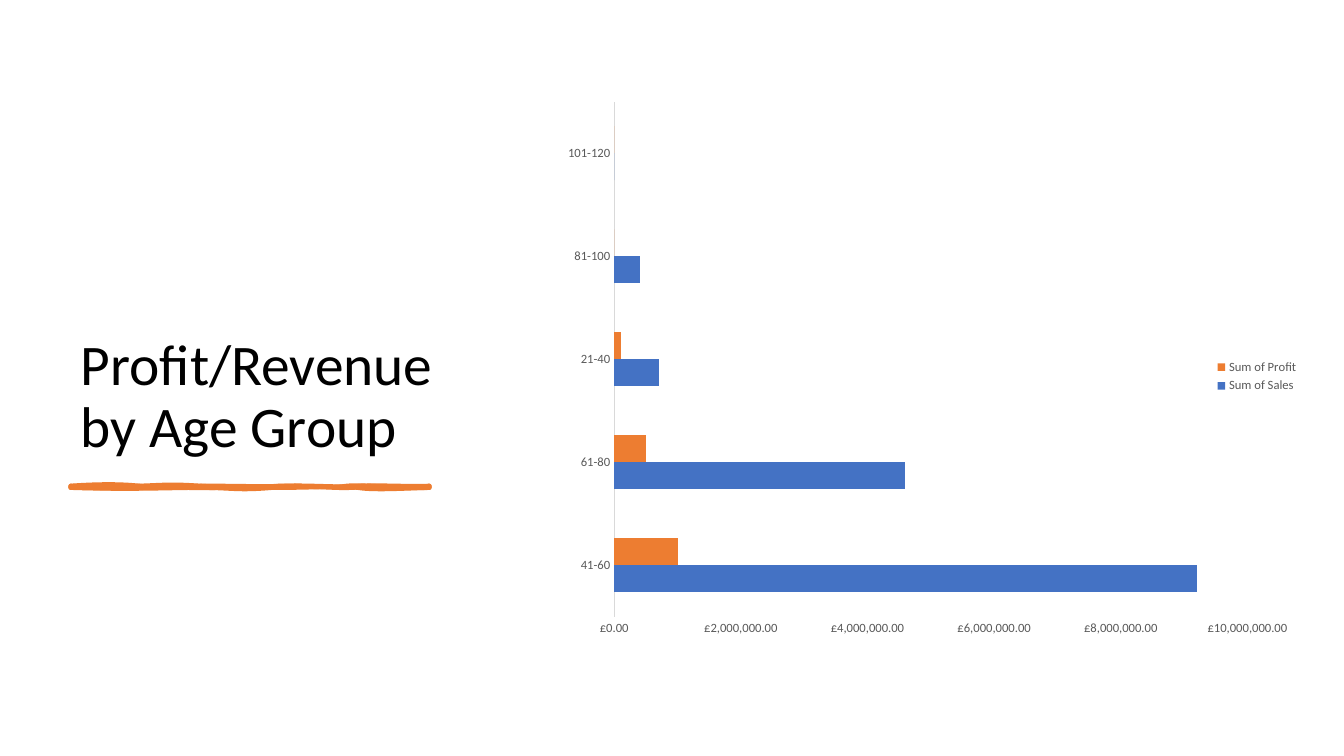
import pptx
import pptx.chart.data
import pptx.dml.color
import pptx.enum.chart
import pptx.enum.text
import pptx.oxml
import pptx.oxml.ns
import pptx.util

Inches = pptx.util.Inches
Pt = pptx.util.Pt
qn = pptx.oxml.ns.qn
FONT = "Calibri"
BLUE, ORANGE, GREY = "4472C4", "ED7D31", "595959"
AGES = ["41-60", "61-80", "21-40", "81-100", "101-120"]
SERIES = [
    ("Sum of Sales", [9200000, 4600000, 700000, 400000, 0], BLUE),
    ("Sum of Profit", [1000000, 500000, 100000, 0, 0], ORANGE),
]
UPPER = [
    (27, -2), (51, -2), (68, 0), (85, 2), (107, 0), (139, 0),
    (171, 0), (190, 1), (214, 0), (238, -1), (269, 2), (289, 0),
    (309, -1), (342, 1), (356, 0), (356, 1), (356, 2), (356, 2),
    (338, 3), (294, 1), (278, 2), (262, 3), (234, -1), (200, 2),
    (165, 5), (161, 2), (129, 2), (96, 2), (62, 4), (0, 2),
    (0, 2), (0, 1), (0, 0),
]
LOWER = [
    (32, 2), (40, 1), (68, 0), (96, -1), (99, -2), (129, 0),
    (158, 2), (191, 1), (207, 0), (223, -1), (257, 3), (274, 0),
    (292, -2), (327, 4), (356, 0), (356, 1), (356, 1), (356, 2),
    (342, 2), (302, 5), (285, 2), (268, 0), (239, 2), (207, 2),
    (174, 2), (170, 1), (146, 2), (123, 3), (109, 1), (75, 2),
    (41, 3), (22, 2), (0, 2), (0, 1), (0, 1), (0, 0),
]


def color(code):
    return pptx.dml.color.RGBColor.from_string(code)


def style(font, size, code):
    font.name = FONT
    font.size = Pt(size)
    font.color.rgb = color(code)


def place(shape, box):
    shape.left, shape.top, shape.width, shape.height = map(Inches, box)


def add_title(slide, box):
    title = slide.shapes.title
    place(title, box)
    frame = title.text_frame
    frame.word_wrap = True
    frame.auto_size = pptx.enum.text.MSO_AUTO_SIZE.NONE
    frame.vertical_anchor = pptx.enum.text.MSO_ANCHOR.BOTTOM
    para = frame.paragraphs[0]
    para.alignment = pptx.enum.text.PP_ALIGN.LEFT
    para.line_spacing = 0.9
    run = para.add_run()
    run.text = "Profit/Revenue by Age Group"
    style(run.font, 41, "000000")


def bend(shape):
    lines = list(shape._element.iter(qn("a:lnTo")))
    for trio in zip(lines[::3], lines[1::3], lines[2::3]):
        curve = pptx.oxml.parse_xml(
            f'<a:cubicBezTo {pptx.oxml.ns.nsdecls("a")}/>')
        trio[0].addprevious(curve)
        for line in trio:
            curve.append(line[0])
            line.getparent().remove(line)


def add_swash(slide, left, top):
    pen = slide.shapes.build_freeform(0, 0, scale=Inches(0.01))
    pen.add_line_segments(UPPER, close=True)
    pen.move_to(0, 0)
    pen.add_line_segments(LOWER, close=True)
    swash = pen.convert_to_shape(Inches(left), Inches(top))
    bend(swash)
    swash.shadow.inherit = False
    swash.fill.solid()
    swash.fill.fore_color.rgb = color(ORANGE)
    swash.line.color.rgb = color(ORANGE)
    swash.line.width = Pt(3)


def set_plot(chart, x, y, w, h):
    area = chart.plots[0]._element.getparent()
    for old in area.findall(qn("c:layout")):
        area.remove(old)
    area.insert(0, pptx.oxml.parse_xml(
        f'<c:layout {pptx.oxml.ns.nsdecls("c")}><c:manualLayout>'
        '<c:layoutTarget val="inner"/><c:xMode val="edge"/><c:yMode val="edge"/>'
        f'<c:x val="{x}"/><c:y val="{y}"/><c:w val="{w}"/><c:h val="{h}"/>'
        '</c:manualLayout></c:layout>'))


def add_bars(slide, box):
    enum = pptx.enum.chart
    data = pptx.chart.data.CategoryChartData(number_format='"£"#,##0.00')
    data.categories = AGES
    for name, values, code in SERIES:
        data.add_series(name, values)
    chart = slide.shapes.add_chart(
        enum.XL_CHART_TYPE.BAR_CLUSTERED, *map(Inches, box), data).chart
    style(chart.font, 10, "000000")
    chart.has_title = False
    chart.has_legend = True
    chart.legend.position = enum.XL_LEGEND_POSITION.RIGHT
    chart.legend.include_in_layout = False
    style(chart.legend.font, 9, GREY)
    plot = chart.plots[0]
    plot.gap_width = 182
    plot.overlap = 0
    plot.vary_by_categories = False
    for bars, (name, values, code) in zip(plot.series, SERIES):
        bars.invert_if_negative = False
        bars.format.fill.solid()
        bars.format.fill.fore_color.rgb = color(code)
    for axis in (chart.category_axis, chart.value_axis):
        axis.has_major_gridlines = False
        axis.major_tick_mark = enum.XL_TICK_MARK.NONE
        axis.minor_tick_mark = enum.XL_TICK_MARK.NONE
        style(axis.tick_labels.font, 9, GREY)
    edge = chart.category_axis.format.line
    edge.color.rgb = color("D9D9D9")
    edge.width = Pt(0.75)
    scale = chart.value_axis
    scale.format.line.fill.background()
    scale.minimum_scale, scale.maximum_scale = 0, 10000000
    scale.major_unit = 2000000
    scale.tick_labels.number_format = '"£"#,##0.00'
    scale.tick_labels.number_format_is_linked = False
    set_plot(chart, 0.127, 0.051, 0.796, 0.842)


def main():
    deck = pptx.Presentation()
    deck.slide_width, deck.slide_height = Inches(13.33), Inches(7.5)
    slide = deck.slides.add_slide(deck.slide_layouts[5])
    add_title(slide, (0.7, 0.7, 3.91, 3.91))
    add_swash(slide, 0.7, 4.82)
    add_bars(slide, (5.09, 0.7, 7.89, 6.07))
    deck.save("out.pptx")


if __name__ == "__main__":
    main()
